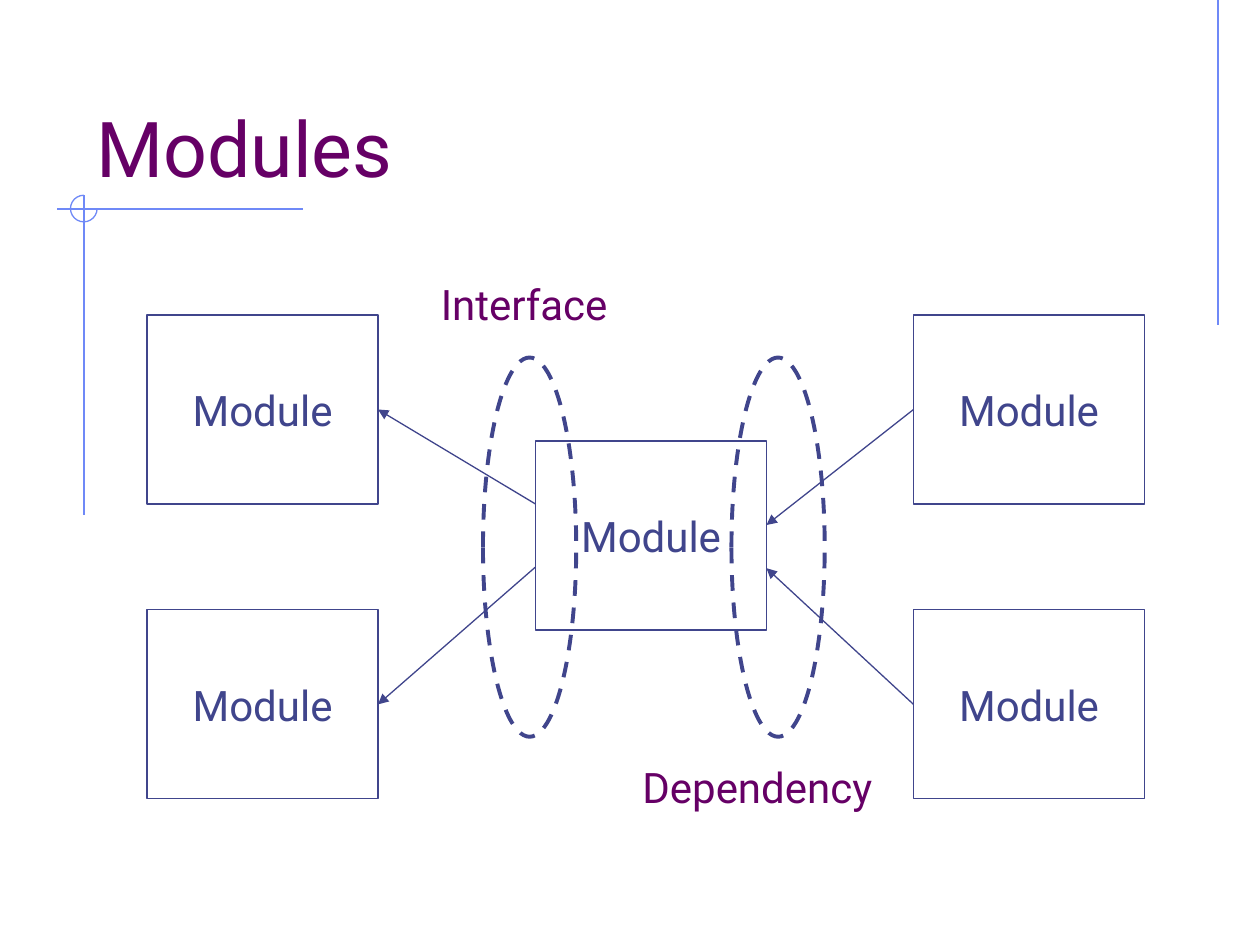
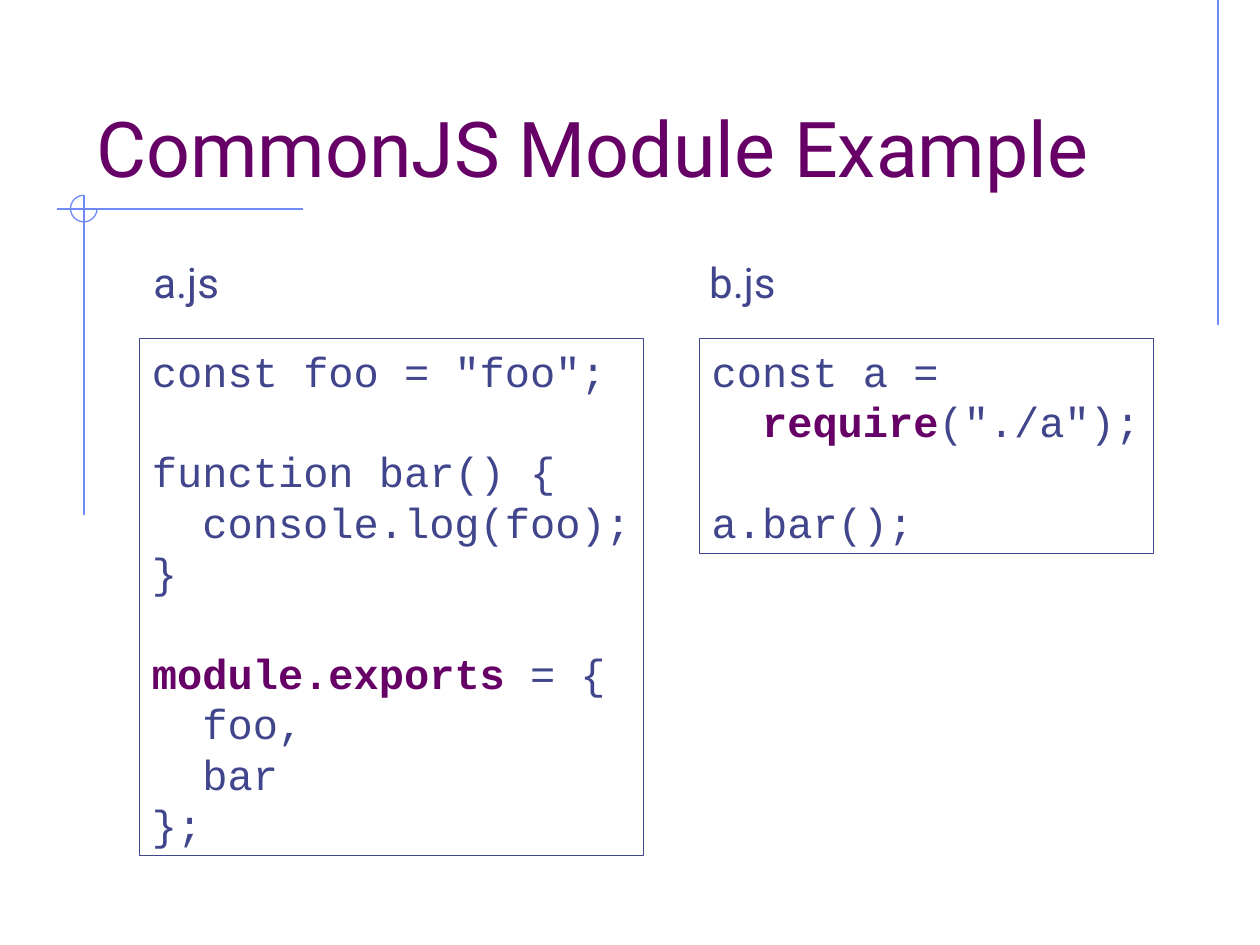
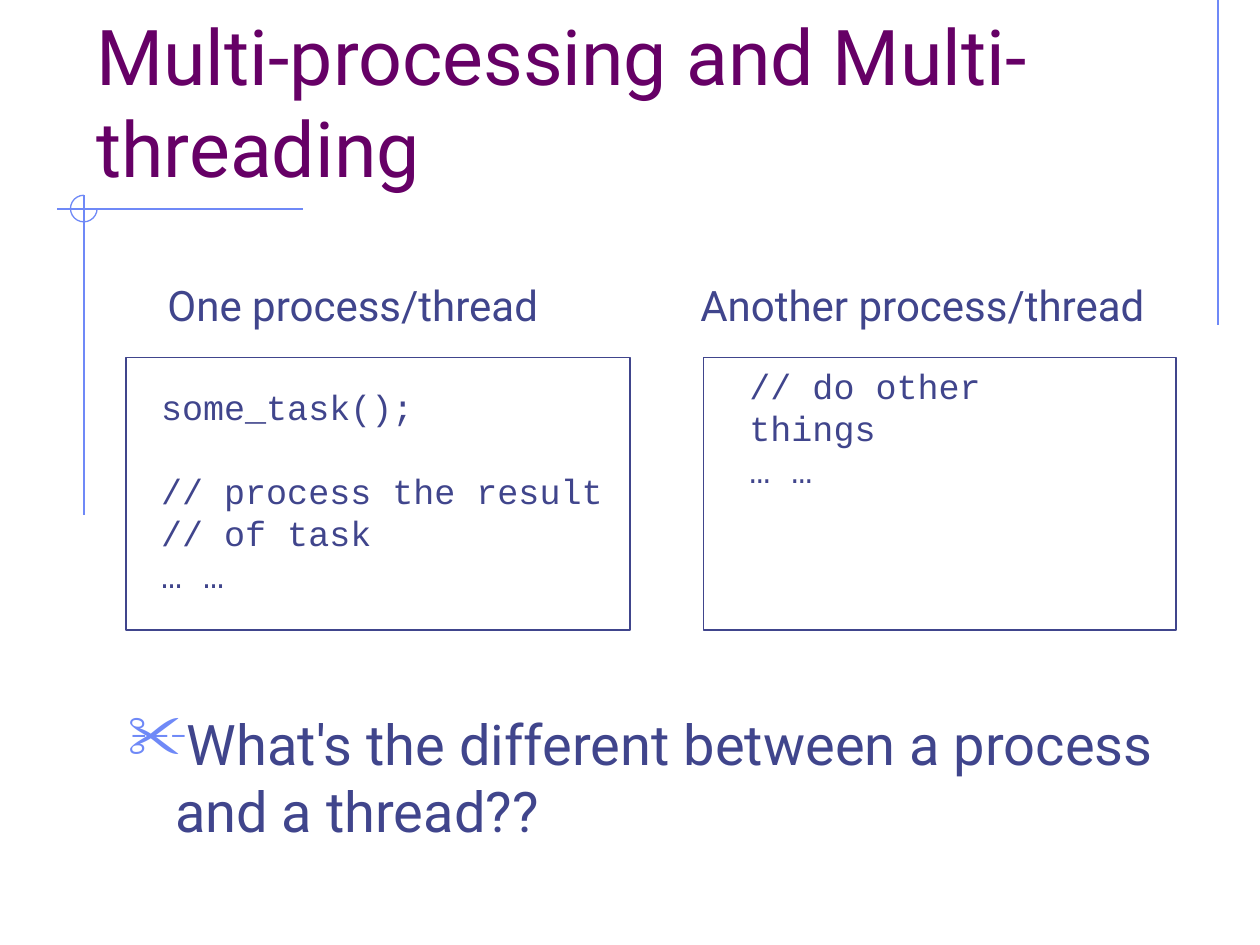
from dataclasses import dataclass

from lxml import etree
from pptx import Presentation
from pptx import util as u
from pptx.dml.color import RGBColor
from pptx.enum import dml, shapes, text
from pptx.oxml import ns

Pt = u.Pt


@dataclass(frozen=True)
class Theme:
    ink: str = "40458C"
    accent: str = "660066"
    rule: str = "6F89F7"
    body_font: str = "Roboto"
    code_font: str = "Courier New"
    title_size: int = 44
    bullet_size: int = 32
    label_size: int = 24
    small_code_size: int = 20
    line_height: float = 1.2
    code_char_width: float = 0.6
    hairline: float = 0.5
    thin: float = 0.75
    thick: float = 2.25


class Deck:
    """Holds the theme and the current slide, and draws each kind of element."""

    def __init__(self, theme):
        self.theme = theme
        self.presentation = Presentation()
        self.presentation.slide_width = Pt(720)
        self.presentation.slide_height = Pt(540)
        self.slide = None

    def new_slide(self, title):
        self.slide = self.presentation.slides.add_slide(self.presentation.slide_layouts[6])
        rule = self.theme.rule
        self.line((696, 0), (696, 186), rule)
        self.line((173, 119.5), (32.5, 119.5), rule)
        self.line((48, 111.6), (48, 294.5), rule)
        arc = self.outline(shapes.MSO_SHAPE.ARC, 40.3, 111.6, 15.2, 15.2, rule)
        arc.adjustments[0] = 0
        arc.adjustments[1] = 162
        frame = self.text_box(48, 24, 612, 90, wrap=True).text_frame
        frame.vertical_anchor = text.MSO_ANCHOR.BOTTOM
        paragraph = self.paragraph(frame, self.theme.title_size)
        self.run(paragraph, title, self.theme.title_size, self.theme.accent)

    def outline(self, kind, left, top, width, height, color=None, weight=None, dashed=False):
        shape = self.slide.shapes.add_shape(kind, Pt(left), Pt(top), Pt(width), Pt(height))
        shape.shadow.inherit = False
        shape.fill.background()
        self.stroke(shape, color, weight)
        if dashed:
            shape.line.dash_style = dml.MSO_LINE.DASH
        return shape

    def stroke(self, shape, color=None, weight=None):
        shape.line.color.rgb = RGBColor.from_string(color or self.theme.ink)
        shape.line.width = Pt(weight or self.theme.thin)

    def line(self, start, end, color=None):
        points = [Pt(value) for value in (*start, *end)]
        connector = self.slide.shapes.add_connector(shapes.MSO_CONNECTOR.STRAIGHT, *points)
        self.stroke(connector, color)
        etree.SubElement(connector._element.spPr, ns.qn("a:effectLst"))
        return connector

    def arrow(self, start, end):
        connector = self.line(start, end)
        etree.SubElement(connector.line._get_or_add_ln(), ns.qn("a:tailEnd"), type="triangle")
        return connector

    def text_box(self, left, top, width, height, wrap=False):
        box = self.slide.shapes.add_textbox(Pt(left), Pt(top), Pt(width), Pt(height))
        box.text_frame.word_wrap = wrap
        if not wrap:
            box.text_frame.auto_size = text.MSO_AUTO_SIZE.SHAPE_TO_FIT_TEXT
        return box

    def paragraph(self, frame, size, first=True):
        paragraph = frame.paragraphs[0] if first else frame.add_paragraph()
        paragraph.line_spacing = Pt(size * self.theme.line_height)
        return paragraph

    def run(self, paragraph, content, size, color=None, font=None, bold=False):
        run = paragraph.add_run()
        run.text = content
        run.font.name = font or self.theme.body_font
        run.font.size = Pt(size)
        run.font.bold = bold
        run.font.color.rgb = RGBColor.from_string(color or self.theme.ink)

    def label(self, content, left, top, width, color=None):
        size = self.theme.label_size
        frame = self.text_box(left, top, width, 36).text_frame
        self.run(self.paragraph(frame, size), content, size, color)

    def module(self, left, top):
        rectangle = self.outline(shapes.MSO_SHAPE.RECTANGLE, left, top, 132, 108)
        self.label("Module", left + 19, top + 36, 100)
        return rectangle

    def code(self, box, lines, size, keyword=None):
        theme = self.theme
        gap = 0
        for index, line in enumerate(lines):
            if not line:
                gap += size * theme.line_height
                continue
            paragraph = self.paragraph(box.text_frame, size, first=index == 0)
            paragraph.space_before = Pt(gap)
            gap = 0
            content = line.lstrip()
            indent = (len(line) - len(content)) * size * theme.code_char_width
            paragraph._p.get_or_add_pPr().set("marL", str(Pt(indent)))
            parts = content.partition(keyword) if keyword else (content,)
            for part in filter(None, parts):
                marked = part == keyword
                color = theme.accent if marked else theme.ink
                self.run(paragraph, part, size, color, theme.code_font, marked)

    def bullet(self, content, left, top, width, height):
        size = self.theme.bullet_size
        paragraph = self.paragraph(self.text_box(left, top, width, height, wrap=True).text_frame, size)
        paragraph.space_before = Pt(8)
        properties = paragraph._p.get_or_add_pPr()
        properties.set("marL", str(Pt(27)))
        properties.set("indent", str(Pt(-27)))
        color = etree.SubElement(properties, ns.qn("a:buClr"))
        etree.SubElement(color, ns.qn("a:srgbClr"), val=self.theme.rule)
        etree.SubElement(properties, ns.qn("a:buSzPct"), val="110000")
        etree.SubElement(properties, ns.qn("a:buChar"), char="✂")
        self.run(paragraph, content, size)


def modules_slide(deck):
    deck.new_slide("Modules")
    deck.module(306, 252)
    rows = (180, 348.5)
    users = [deck.module(522, top) for top in rows]
    providers = [deck.module(84, top) for top in rows]
    for user, top, target in zip(users, rows, (300, 324.7)):
        deck.arrow((522, top + 54), (438, target)).begin_connect(user, 1)
    for provider, top, source in zip(providers, rows, (288, 324)):
        deck.arrow((306, source), (216, top + 54)).end_connect(provider, 3)
    for left in (276, 418):
        deck.outline(shapes.MSO_SHAPE.OVAL, left, 204.3, 53.3, 216.7,
                     weight=deck.theme.thick, dashed=True)
    deck.label("Interface", 244.8, 155.5, 116, deck.theme.accent)
    deck.label("Dependency", 360, 431.5, 155.5, deck.theme.accent)


def commonjs_slide(deck):
    deck.new_slide("CommonJS Module Example")
    exporter = ['const foo = "foo";', "", "function bar() {", "  console.log(foo);", "}", "",
                "module.exports = {", "  foo,", "  bar", "};"]
    importer = ["const a =", '  require("./a");', "", "a.bar();"]
    files = (
        ("a.js", 80.6, 52, 79.8, 288, 295.2, exporter, "module.exports"),
        ("b.js", 398.2, 53.3, 399.6, 259.5, 122.4, importer, "require"),
    )
    for name, name_left, name_width, left, width, height, lines, keyword in files:
        box = deck.text_box(left, 193.7, width, height)
        deck.stroke(box, weight=deck.theme.hairline)
        deck.code(box, lines, deck.theme.label_size, keyword)
        deck.label(name, name_left, 143.3, name_width)


def threading_slide(deck):
    deck.new_slide("Multi-processing and Multi-threading")
    deck.bullet("What's the different between a process and a thread??", 66, 402, 612, 96)
    size = deck.theme.small_code_size
    first_task = ["some_task();", "", "// process the result", "// of task", "… …"]
    deck.code(deck.text_box(85, 216.7, 269.3, 127.4, wrap=True), first_task, size)
    deck.code(deck.text_box(421.2, 204.5, 230.4, 55.4), ["// do other things", "… …"], size)
    deck.label("One process/thread", 88.6, 156.2, 239)
    deck.label("Another process/thread", 393.1, 156.2, 283.7)
    for left, width in ((72, 288), (402, 270)):
        deck.outline(shapes.MSO_SHAPE.RECTANGLE, left, 204.5, width, 155.5)


def main():
    deck = Deck(Theme())
    modules_slide(deck)
    commonjs_slide(deck)
    threading_slide(deck)
    deck.presentation.save("out.pptx")


if __name__ == "__main__":
    main()
